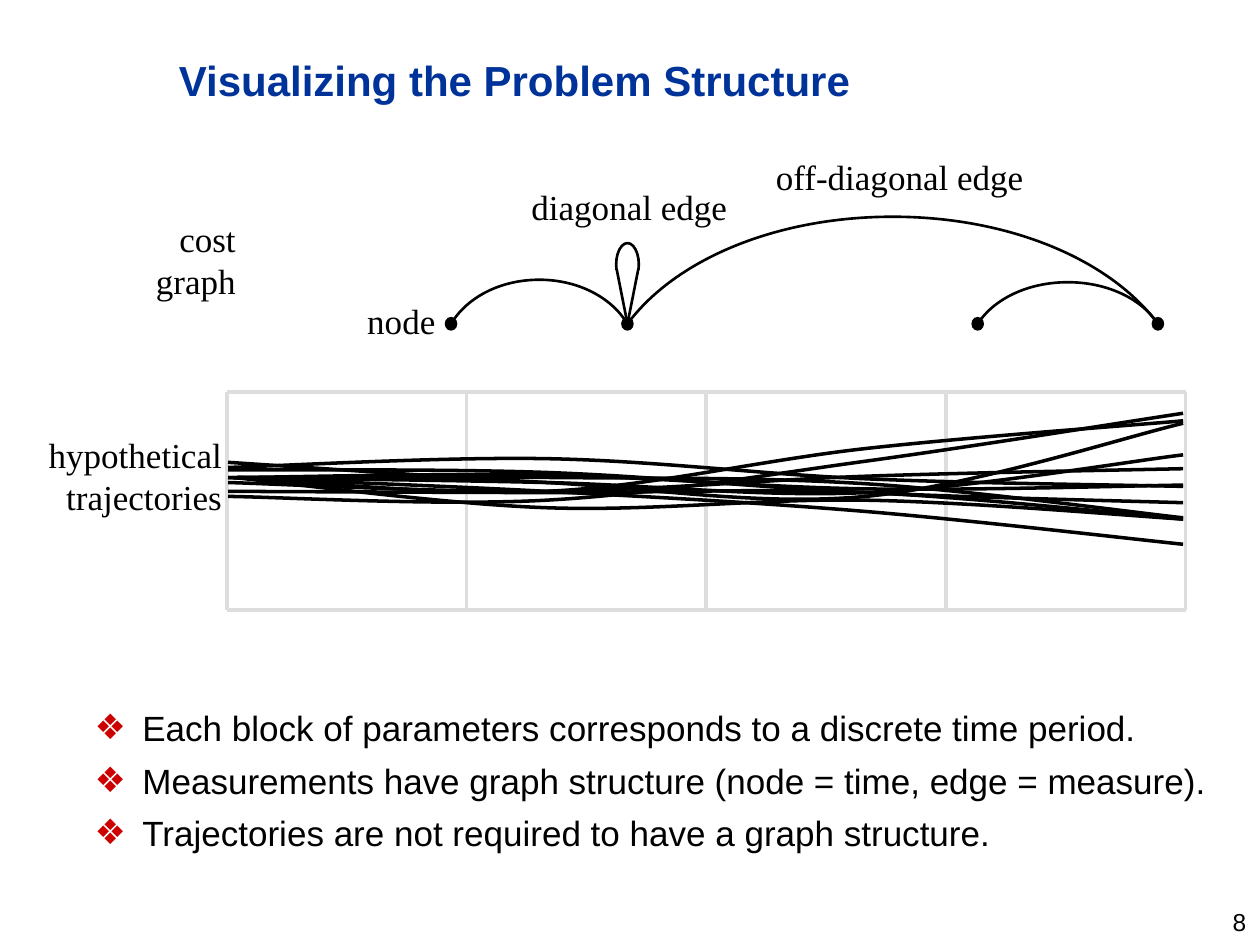
import collections

import lxml.etree
import pptx
import pptx.dml.color
import pptx.enum.shapes
import pptx.enum.text
import pptx.oxml.ns
import pptx.util

COLORS = {"title": "003399", "ink": "000000", "bullet": "CC0000", "grid": "DDDDDD"}
UNIT = pptx.util.Inches(0.1)
ALIGN = pptx.enum.text.PP_ALIGN
SHAPES = pptx.enum.shapes.MSO_SHAPE
Box = collections.namedtuple("Box", "left top width height")

BULLETS = [
    "Each block of parameters corresponds to a discrete time period.",
    "Measurements have graph structure (node = time, edge = measure).",
    "Trajectories are not required to have a graph structure.",
]
TRAJECTORIES = [
    (0.7, 6.8, 7.9, 4.5, 2.3),
    (0.8, 6.8, 6.8, 7.3, 10.0),
    (0.1, 6.8, 7.2, 8.0, 5.0),
    (0.1, 8.3, 8.6, 5.5, 1.7),
    (0.5, 6.8, 9.2, 8.6, 10.1),
    (0.1, 7.2, 7.9, 6.7, 6.1),
    (0.9, 6.8, 6.6, 7.7, 7.4),
    (0.1, 6.2, 6.4, 8.0, 8.8),
    (0.1, 7.9, 8.0, 8.0, 10.1),
    (0.1, 5.6, 7.2, 8.3, 2.5),
    (0.1, 6.0, 5.3, 6.9, 7.5),
    (0.1, 6.8, 7.9, 9.5, 12.1),
]


def rgb(name):
    """Return the named palette colour."""
    return pptx.dml.color.RGBColor.from_string(COLORS[name])


def place(box, x, y):
    """Turn grid units inside a box into slide lengths."""
    return round((box.left + x) * UNIT), round((box.top + y) * UNIT)


def span(box):
    """Return the left, top, width and height of a box as slide lengths."""
    return [round(value * UNIT) for value in box]


def style_runs(paragraph, font_name, size, color, bold=False):
    """Format every run of a paragraph."""
    for run in paragraph.runs:
        run.font.name = font_name
        run.font.size = pptx.util.Pt(size)
        run.font.bold = bold
        run.font.color.rgb = rgb(color)


def add_text(shapes, box, text, alignment, font_name="Times New Roman", size=20):
    """Add an unwrapped text box."""
    frame = shapes.add_textbox(*span(box)).text_frame
    frame.word_wrap = False
    frame.text = text
    for paragraph in frame.paragraphs:
        paragraph.alignment = alignment
        style_runs(paragraph, font_name, size, "ink")


def add_line(shapes, box, start, end, color, width):
    """Add a straight line between two points of a box."""
    connector = shapes.add_connector(
        pptx.enum.shapes.MSO_CONNECTOR.STRAIGHT, *place(box, *start), *place(box, *end))
    connector.line.color.rgb = rgb(color)
    connector.line.width = pptx.util.Pt(width)
    lxml.etree.SubElement(connector._element.spPr, pptx.oxml.ns.qn("a:effectLst"))


def outline(shape, width):
    """Leave a shape unfilled with a plain dark line."""
    shape.shadow.inherit = False
    shape.fill.background()
    shape.line.color.rgb = rgb("ink")
    shape.line.width = pptx.util.Pt(width)


def add_curve(shapes, box, segments, width):
    """Draw joined cubic segments as one open outline."""
    points = [place(box, *point) for segment in segments for point in segment[1:]]
    builder = shapes.build_freeform(*place(box, *segments[0][0]))
    builder.add_line_segments(points, close=False)
    shape = builder.convert_to_shape()
    path = next(shape._element.iter(pptx.oxml.ns.qn("a:path")))
    steps = path.findall(pptx.oxml.ns.qn("a:lnTo"))
    for first in range(0, len(steps), 3):
        cubic = lxml.etree.SubElement(path, pptx.oxml.ns.qn("a:cubicBezTo"))
        for step in steps[first:first + 3]:
            cubic.append(step[0])
            path.remove(step)
    outline(shape, width)


def arch(start, end, base, apex):
    """Return the two cubic halves of an arch."""
    def point(share, rise):
        return start + share * (end - start), base + rise * (apex - base)

    return [(point(0, 0), point(0.09, 0.6), point(0.28, 1), point(0.5, 1)),
            (point(0.5, 1), point(0.72, 1), point(0.91, 0.6), point(1, 0))]


def smooth(knots):
    """Return cubic segments passing smoothly through the knots."""
    padded = [knots[0], *knots, knots[-1]]
    return [(b,
             tuple(q + (r - p) / 6 for p, q, r in zip(a, b, c)),
             tuple(r - (u - q) / 6 for q, r, u in zip(b, c, d)),
             c)
            for a, b, c, d in zip(padded, padded[1:], padded[2:], padded[3:])]


def fill_title(slide, box):
    """Set the slide title."""
    title = slide.shapes.title
    title.left, title.top, title.width, title.height = span(box)
    frame = title.text_frame
    frame.text = "Visualizing the Problem Structure"
    frame.vertical_anchor = pptx.enum.text.MSO_ANCHOR.MIDDLE
    frame.paragraphs[0].alignment = ALIGN.LEFT
    style_runs(frame.paragraphs[0], "Arial", 24, "title", True)


def fill_bullets(slide, box):
    """Set the bulleted list."""
    body = slide.placeholders[1]
    body.left, body.top, body.width, body.height = span(box)
    frame = body.text_frame
    frame.text = "\n".join(BULLETS)
    frame.auto_size = pptx.enum.text.MSO_AUTO_SIZE.NONE
    for index, paragraph in enumerate(frame.paragraphs):
        properties = paragraph._p.get_or_add_pPr()
        indent = pptx.util.Inches(0.38)
        properties.set("marL", str(indent))
        properties.set("indent", str(-indent))
        color = lxml.etree.SubElement(properties, pptx.oxml.ns.qn("a:buClr"))
        lxml.etree.SubElement(color, pptx.oxml.ns.qn("a:srgbClr"), val=COLORS["bullet"])
        lxml.etree.SubElement(properties, pptx.oxml.ns.qn("a:buChar"), char="❖")
        paragraph.space_before = pptx.util.Pt(4 if index else 0)
        paragraph.space_after = pptx.util.Pt(2)
        style_runs(paragraph, "Arial", 20, "ink")


def draw_cost_graph(slide, box):
    """Draw the nodes, edges and labels of the cost graph."""
    shapes = slide.shapes.add_group_shape().shapes
    nodes, base = [17.8, 31.8, 59.6, 73.9], 14.7
    for first, last, apex in [(0, 1, 11.2), (2, 3, 11.4), (1, 3, 6.2)]:
        add_curve(shapes, box, arch(nodes[first], nodes[last], base, apex), 1.5)
    for x in nodes:
        node = shapes.add_shape(
            SHAPES.OVAL, *place(box, x - 0.5, base - 0.55), UNIT, round(1.1 * UNIT))
        node.shadow.inherit = False
        node.fill.solid()
        node.fill.fore_color.rgb = rgb("ink")
        node.line.fill.background()
    loop_x = nodes[1]
    for side in (-0.85, 0.85):
        add_line(shapes, box, (loop_x + side, 10.4), (loop_x, base), "ink", 1.5)
    loop = shapes.add_shape(
        SHAPES.ARC, *place(box, loop_x - 0.9, 8.3), round(1.8 * UNIT), round(3.4 * UNIT))
    loop.adjustments[0], loop.adjustments[1] = 92.4, 16.04
    outline(loop, 1.5)
    labels = [
        ("cost\ngraph", -6.7, 5.8, 8.4, 7.7, ALIGN.RIGHT),
        ("node", 10.1, 12.25, 7.5, 4.4, ALIGN.CENTER),
        ("diagonal edge", 23.1, 3.2, 17.7, 4.4, ALIGN.CENTER),
        ("off-diagonal edge", 42.5, 0.85, 21.8, 4.4, ALIGN.CENTER),
    ]
    for text, x, y, width, height, alignment in labels:
        add_text(shapes, Box(box.left + x, box.top + y, width, height), text, alignment)


def draw_trajectories(slide, box, columns=4):
    """Draw the time grid with the trajectories across it."""
    shapes = slide.shapes.add_group_shape().shapes
    for column in range(columns + 1):
        x = column * box.width / columns
        add_line(shapes, box, (x, 0), (x, box.height), "grid", 2)
    for y in (0, box.height):
        add_line(shapes, box, (0, y), (box.width, y), "grid", 2)
    for start, *heights in TRAJECTORIES:
        knots = list(zip((start, box.width / 3, box.width * 2 / 3, box.width - 0.2), heights))
        add_curve(shapes, box, smooth(knots), 2)
    add_text(shapes, Box(box.left - 15.3, box.top + 2.8, 15.9, 7.7),
             "hypothetical\ntrajectories", ALIGN.RIGHT)


def main():
    """Build and save the slide."""
    presentation = pptx.Presentation()
    presentation.slide_width, presentation.slide_height = 100 * UNIT, 75 * UNIT
    slide = presentation.slides.add_slide(presentation.slide_layouts[1])
    fill_title(slide, Box(13.2, 3, 79.1, 6.6))
    fill_bullets(slide, Box(6.5, 55.6, 90.5, 16))
    add_text(slide.shapes, Box(76.6, 71.5, 23.3, 5.2), "8", ALIGN.RIGHT, "Arial", 14)
    draw_cost_graph(slide, Box(18, 11, 76, 18))
    draw_trajectories(slide, Box(18, 31.1, 76.1, 17.3))
    presentation.save("out.pptx")


if __name__ == "__main__":
    main()
